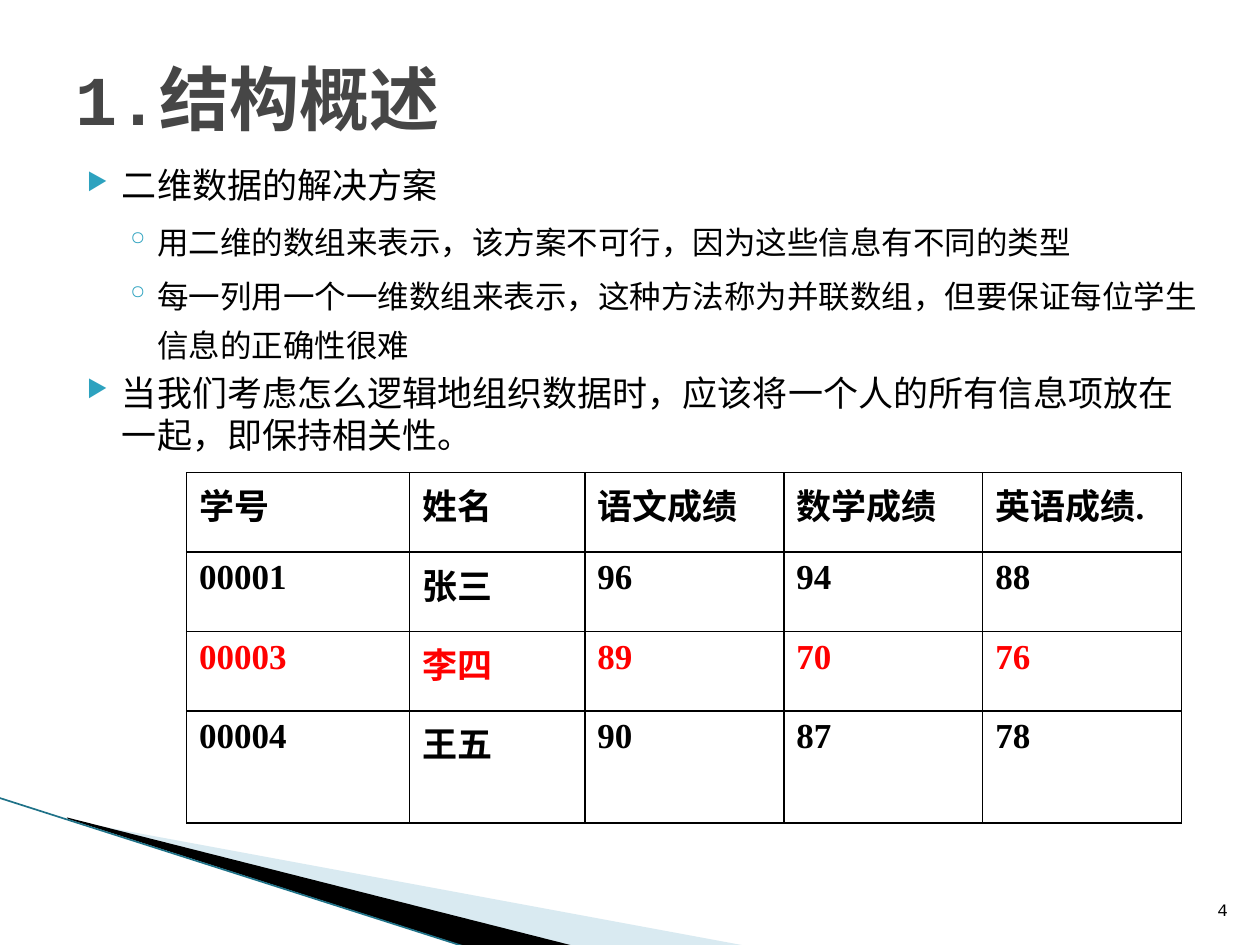
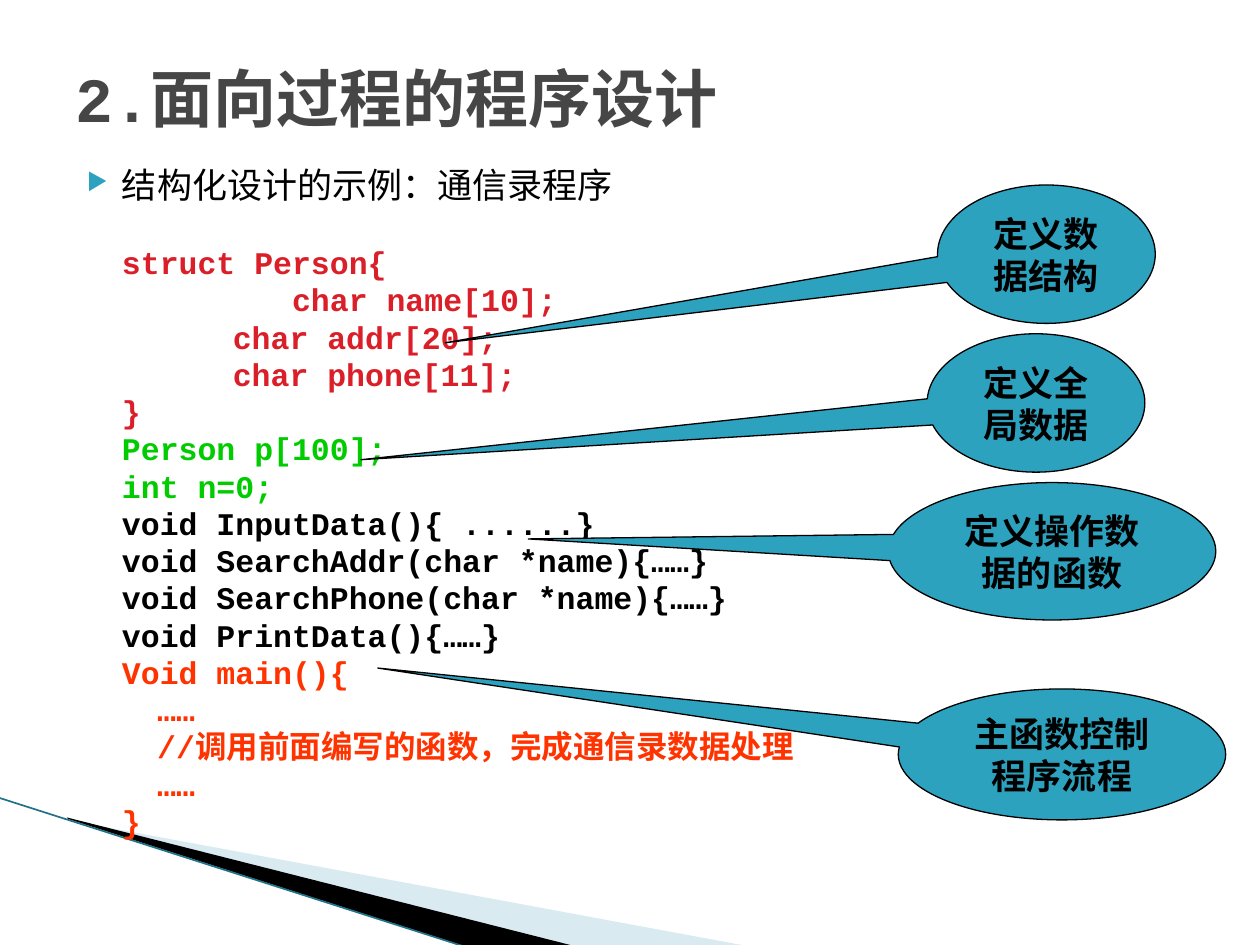
from dataclasses import dataclass

from lxml.etree import SubElement
from pptx import Presentation
from pptx.dml.color import RGBColor
from pptx.enum.shapes import MSO_CONNECTOR, MSO_SHAPE
from pptx.enum.text import MSO_ANCHOR, PP_ALIGN
from pptx.oxml.ns import qn
from pptx.util import Cm, Pt


@dataclass(frozen=True)
class Theme:
    black: str = "000000"
    title: str = "464646"
    accent: str = "2DA2BF"
    pale: str = "A0CBDC"
    edge: str = "1F7288"
    red: str = "FF0000"
    struct: str = "DA1F28"
    data: str = "00CC00"
    main: str = "FF3300"
    mono: str = "Courier New"
    serif: str = "Times New Roman"
    cjk: str = "Noto Sans CJK SC"
    body_size: int = 20
    sub_size: int = 18
    number_size: int = 10


theme = Theme()


def write(paragraph, text, size, font=theme.mono, color=theme.black, bold=False,
          asian=theme.cjk, bullet=None, bullet_size=None, indent=None, **layout):
    """Fill one paragraph; layout holds paragraph attributes such as line_spacing."""
    properties = paragraph._p.get_or_add_pPr()
    if indent:
        properties.set("marL", str(Cm(indent[0])))
        properties.set("indent", str(Cm(indent[1])))
    if bullet:
        bullet_color = SubElement(properties, qn("a:buClr"))
        SubElement(bullet_color, qn("a:srgbClr"), val=theme.accent)
        if bullet_size:
            SubElement(properties, qn("a:buSzPct"), val=str(bullet_size * 1000))
        SubElement(properties, qn("a:buChar"), char=bullet)
    for attribute, value in layout.items():
        setattr(paragraph, attribute, value)
    run = paragraph.add_run()
    run.text = text
    for attribute, value in {"name": font, "size": Pt(size), "bold": bold}.items():
        setattr(run.font, attribute, value)
    run.font.color.rgb = RGBColor.from_string(color)
    SubElement(run._r.get_or_add_rPr(), qn("a:ea"), typeface=asian)


def add_text(slide, box, lines, anchor=MSO_ANCHOR.TOP):
    """Add a text box; lines pairs each text with its format dict."""
    frame = slide.shapes.add_textbox(*map(Cm, box)).text_frame
    frame.word_wrap = True
    frame.vertical_anchor = anchor
    for index, (text, style) in enumerate(lines):
        paragraph = frame.add_paragraph() if index else frame.paragraphs[0]
        write(paragraph, text, **style)
        if index == 0:
            paragraph.space_before = Pt(0)


point = {"size": theme.body_size, "bullet": "▶", "bullet_size": 68,
         "indent": (1.02, -0.71), "line_spacing": Pt(24), "space_before": Pt(4)}
subpoint = {"size": theme.sub_size, "font": theme.cjk, "bullet": "◦",
            "indent": (1.73, -0.64), "line_spacing": Pt(28), "space_before": Pt(3.2)}
code = {"size": theme.sub_size, "asian": theme.mono, "bold": True,
        "indent": (1.02, -0.71), "line_spacing": Pt(17.3), "space_before": Pt(4)}
strong = {"size": theme.body_size, "font": theme.serif, "bold": True}

presentation = Presentation()
presentation.slide_width, presentation.slide_height = Cm(25.4), Cm(19.05)

# Shared corner bands and titles
bands = [
    (theme.pale, 40, [(1.4, 16.54), (15.11, 19.08), (11.58, 19.08), (1.4, 16.51)]),
    (theme.black, 100, [(1.35, 16.48), (11.61, 19.08), (9.45, 19.1), (1.37, 16.51)]),
]
slides = []
for title, title_size in [("1.结构概述", 40), ("2.面向过程的程序设计", 36)]:
    slide = presentation.slides.add_slide(presentation.slide_layouts[6])
    for color, opacity, corners in bands:
        start, *others = [(Cm(x), Cm(y)) for x, y in corners]
        builder = slide.shapes.build_freeform(*start)
        builder.add_line_segments(others, close=True)
        band = builder.convert_to_shape()
        band.shadow.inherit = False
        band.line.fill.background()
        band.fill.solid()
        band.fill.fore_color.rgb = RGBColor.from_string(color)
        band_color = band.fill._xPr.find(".//" + qn("a:srgbClr"))
        SubElement(band_color, qn("a:alpha"), val=str(opacity * 1000))
    edge = slide.shapes.add_connector(
        MSO_CONNECTOR.STRAIGHT, Cm(-0.03), Cm(16.08), Cm(9.42), Cm(19.1))
    edge.line.width = Pt(0.95)
    edge.line.color.rgb = RGBColor.from_string(theme.edge)
    SubElement(edge._element.spPr, qn("a:effectLst"))
    title_style = {"size": title_size, "color": theme.title, "bold": True}
    add_text(slide, (1.27, 0.76, 22.86, 2.41), [(title, title_style)], MSO_ANCHOR.MIDDLE)
    slides.append(slide)
overview, procedural = slides

# Slide 1: points and the score table
add_text(overview, (1.19, 3.18, 23.42, 8), [
    ("二维数据的解决方案", point),
    ("用二维的数组来表示，该方案不可行，因为这些信息有不同的类型", subpoint),
    ("每一列用一个一维数组来表示，这种方法称为并联数组，但要保证每位学生信息的正确性很难", subpoint),
    ("当我们考虑怎么逻辑地组织数据时，应该将一个人的所有信息项放在一起，即保持相关性。", point),
])
number_style = {"size": theme.number_size, "alignment": PP_ALIGN.RIGHT}
add_text(overview, (18.47, 17.65, 6.53, 1.02), [("4", number_style)], MSO_ANCHOR.BOTTOM)

students = [
    ("学号", "姓名", "语文成绩", "数学成绩", "英语成绩."),
    ("00001", "张三", "96", "94", "88"),
    ("00003", "李四", "89", "70", "76"),
    ("00004", "王五", "90", "87", "78"),
]
column_widths = [4.5, 3.53, 4.01, 4.01, 4.01]
row_heights = [1.6, 1.6, 1.6, 2.26]
scores = overview.shapes.add_table(
    len(students), len(column_widths), Cm(3.76), Cm(9.53),
    Cm(sum(column_widths)), Cm(sum(row_heights))).table
scores.first_row = scores.horz_banding = False
for column, width in zip(scores.columns, column_widths):
    column.width = Cm(width)
for row, height, student in zip(scores.rows, row_heights, students):
    row.height = Cm(height)
    color = theme.red if student[1] == "李四" else theme.black
    for cell, value in zip(row.cells, student):
        write(cell.text_frame.paragraphs[0], value, color=color, **strong)
        properties = cell._tc.get_or_add_tcPr()
        for side in ("lnL", "lnR", "lnT", "lnB"):
            border = SubElement(properties, qn(f"a:{side}"), w=str(Pt(1)))
            border_fill = SubElement(border, qn("a:solidFill"))
            SubElement(border_fill, qn("a:srgbClr"), val=theme.black)
        cell.fill.background()

# Slide 2: program with callouts
program = [
    (theme.struct, ["struct Person{", "         char name[10];",
                    "\t    char addr[20];", "\t    char phone[11];", "}"]),
    (theme.data, ["Person p[100];", "int n=0;"]),
    (theme.black, ["void InputData(){ ......}", "void SearchAddr(char *name){……}",
                   "void SearchPhone(char *name){……}", "void PrintData(){……}"]),
    (theme.main, ["Void main(){", "\t……", "\t//调用前面编写的函数，完成通信录数据处理",
                  "\t……", "}"]),
]
add_text(procedural, (1.9, 4.93, 21.59, 12.01),
         [(line, {**code, "color": color}) for color, lines in program for line in lines])

callouts = [
    ("定义数据结构", (18.9, 3.73, 4.39, 2.79), (-2.76, 0.64)),
    ("定义全局数据", (18.69, 6.73, 4.39, 2.79), (-3.1, 0.41)),
    ("定义操作数据的函数", (17.91, 9.73, 6.6, 2.77), (-1.6, -0.09)),
    ("主函数控制程序流程", (18.11, 13.89, 6.6, 2.64), (-2.09, -0.66)),
]
for remark, box, tip in callouts:
    callout = procedural.shapes.add_shape(MSO_SHAPE.OVAL_CALLOUT, *map(Cm, box))
    callout.adjustments[0], callout.adjustments[1] = tip
    callout.shadow.inherit = False
    callout.fill.solid()
    callout.fill.fore_color.rgb = RGBColor.from_string(theme.accent)
    callout.line.color.rgb = RGBColor.from_string(theme.black)
    callout.line.width = Pt(0.75)
    callout.text_frame.word_wrap = True
    callout.text_frame.vertical_anchor = MSO_ANCHOR.MIDDLE
    write(callout.text_frame.paragraphs[0], remark, alignment=PP_ALIGN.CENTER,
          line_spacing=Pt(24), **strong)

example = {**point, "font": theme.serif, "alignment": PP_ALIGN.JUSTIFY}
add_text(procedural, (1.19, 3.18, 23.42, 0.99), [("结构化设计的示例：通信录程序", example)])

presentation.save("out.pptx")
